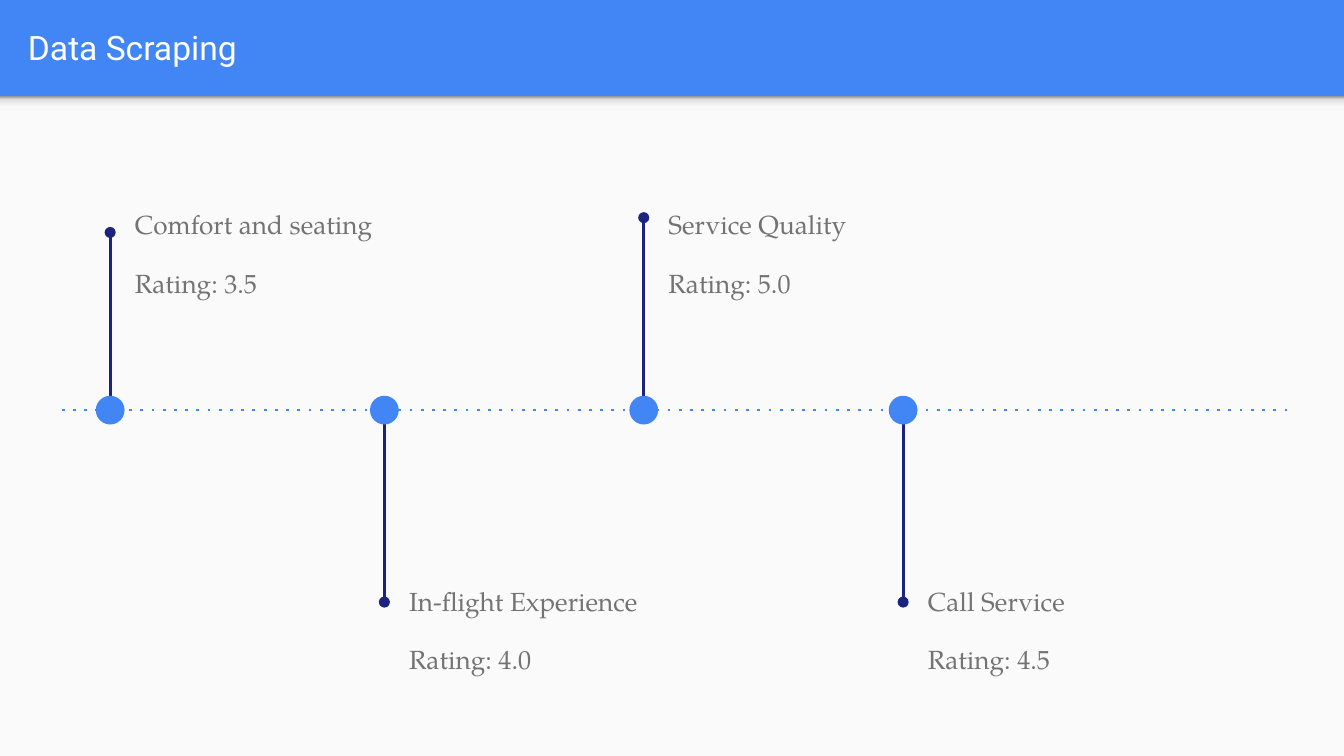
"""Build a timeline slide of four rated service aspects."""
from copy import deepcopy
from lxml.etree import SubElement
from pptx import Presentation
from pptx.dml.color import RGBColor
from pptx.enum.shapes import MSO_CONNECTOR as Connector, MSO_SHAPE as Preset
from pptx.enum.text import MSO_ANCHOR as Anchor
from pptx.oxml.ns import qn
from pptx.util import Inches, Pt

presentation = Presentation()
presentation.slide_width = Inches(10)
presentation.slide_height = Inches(10) * 9 // 16
column = presentation.slide_width / 100
row = presentation.slide_height / 100
slide = presentation.slides.add_slide(presentation.slide_layouts[6])
colour = RGBColor.from_string
BLUE, NAVY, GREY, PAPER = "4285F4", "1A237E", "737373", "FAFAFA"


def place(across, down, wide, high):
    return int(across * column), int(down * row), int(wide * column), int(high * row)


def add_line(start_x, start_y, end_x, end_y, line_colour, tag, **attributes):
    ends = place(start_x, start_y, end_x, end_y)
    connector = slide.shapes.add_connector(Connector.STRAIGHT, *ends)
    connector.line.color.rgb = colour(line_colour)
    connector.line.width = Pt(1.5)
    SubElement(connector.line._get_or_add_ln(), qn(tag), **attributes)
    SubElement(connector._element.spPr, qn("a:effectLst"))


slide.background.fill.solid()
slide.background.fill.fore_color.rgb = colour(BLUE)

header = 12.75
panel = slide.shapes.add_shape(Preset.RECTANGLE, *place(0, header, 100, 100 - header))
panel.shadow.inherit = False
panel.fill.solid()
panel.fill.fore_color.rgb = colour(PAPER)
panel.line.fill.background()

shade = slide.shapes.add_shape(Preset.RECTANGLE, *place(0, header, 100, 2.13))
shade.shadow.inherit = False
shade.line.fill.background()
shade.fill.gradient()
shade.fill.gradient_angle = 90
stop_list = shade._element.spPr.find(".//" + qn("a:gsLst"))
stop_list.extend([deepcopy(stop) for stop in stop_list])
shade_stops = [(0, "F9F9F9"), (0.36, "F9F9F9"), (0.8, "DEDEDE"), (1, "999999")]
for stop, (position, stop_colour) in zip(shade.fill.gradient_stops, shade_stops):
    stop.position = position
    stop.color.rgb = colour(stop_colour)

title = slide.shapes.add_textbox(*place(1.1, 0.4, 96.5, 11.7))
title.text_frame.word_wrap = True
title.text_frame.vertical_anchor = Anchor.MIDDLE
paragraph = title.text_frame.paragraphs[0]
paragraph.text = "Data Scraping"
paragraph.font.name = "Roboto"
paragraph.font.size = Pt(18)
paragraph.font.color.rgb = colour("FFFFFF")

axis = 54.25
dot_wide, dot_high = 2.14, 3.8
add_line(4.6, axis, 95.8, axis, BLUE, "a:prstDash", val="dot")

milestones = [
    (8.2, 30.75, 25.2, "Comfort and seating", "3.5"),
    (28.6, 79.65, 75, "In-flight Experience", "4.0"),
    (47.9, 28.8, 25.2, "Service Quality", "5.0"),
    (67.2, 79.65, 75, "Call Service", "4.5"),
]
for across, stem_end, text_top, name, rating in milestones:
    add_line(across, axis, across, stem_end, NAVY, "a:tailEnd", type="oval")

    dot_box = place(across - dot_wide / 2, axis - dot_high / 2, dot_wide, dot_high)
    dot = slide.shapes.add_shape(Preset.OVAL, *dot_box)
    dot.shadow.inherit = False
    dot.fill.solid()
    dot.fill.fore_color.rgb = colour(BLUE)
    dot.line.fill.background()

    label = slide.shapes.add_textbox(*place(across + 0.85, text_top, 29.1, 18.8))
    frame = label.text_frame
    frame.word_wrap = True
    frame.margin_left = frame.margin_right = Inches(0.1)
    frame.margin_top = frame.margin_bottom = Inches(0.1)
    frame.text = f"{name}\nRating: {rating}"
    for paragraph in frame.paragraphs:
        paragraph.line_spacing = 1.15
        paragraph.font.name = "TeX Gyre Pagella"
        paragraph.font.size = Pt(14)
        paragraph.font.color.rgb = colour(GREY)
    frame.paragraphs[1].space_before = Pt(12)
    frame.paragraphs[1].space_after = Pt(12)

presentation.save("out.pptx")
